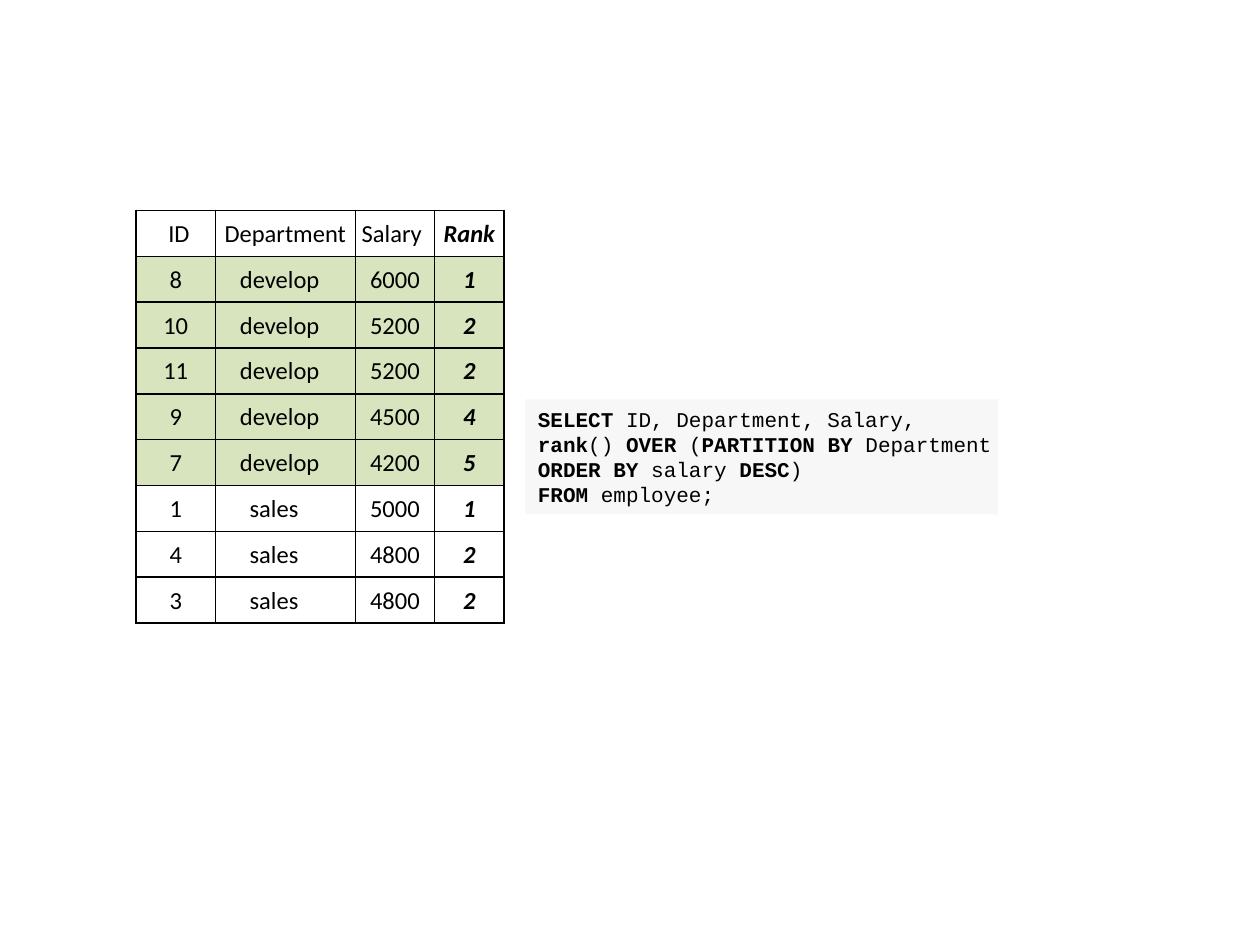
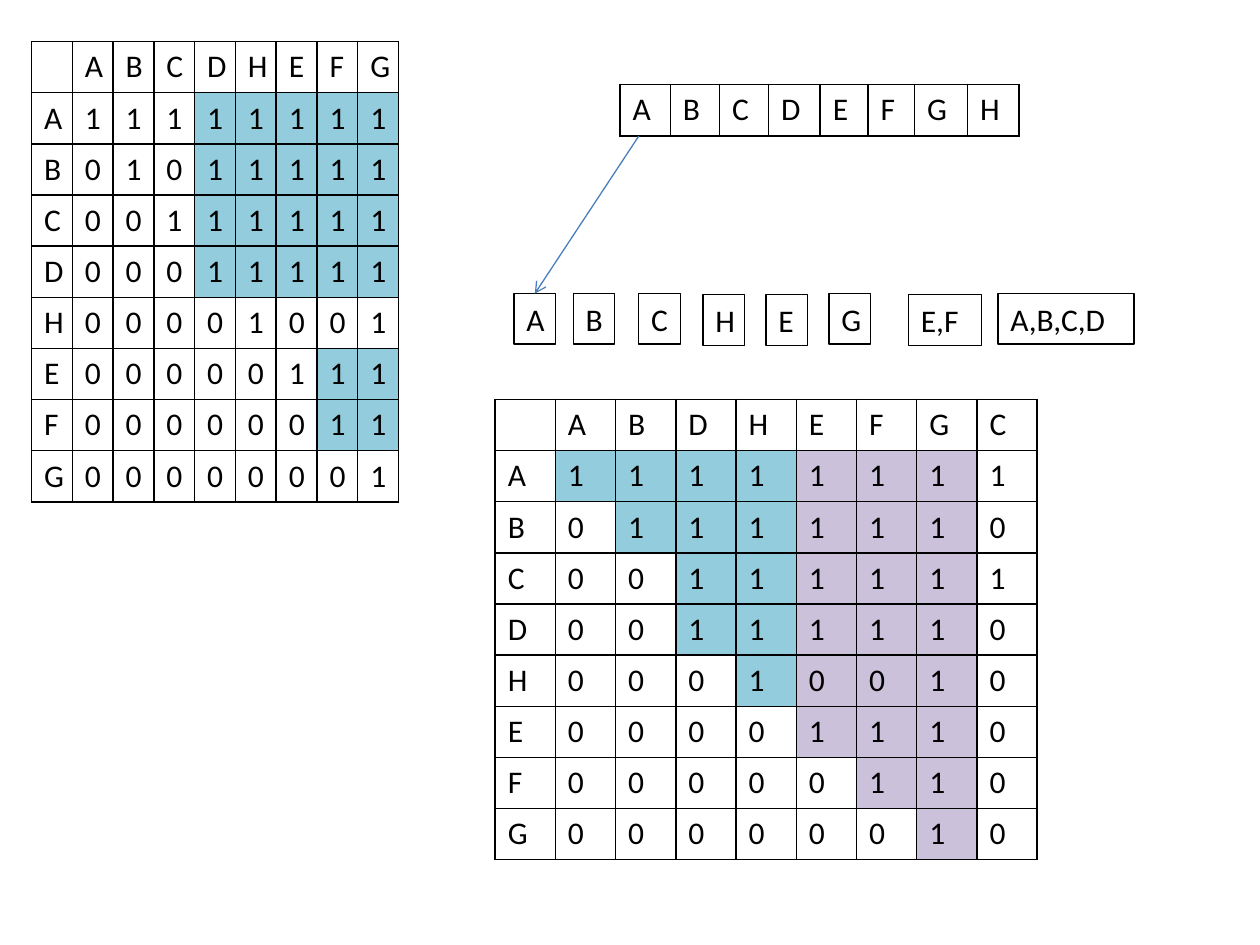
from lxml import etree
from pptx import Presentation
from pptx.dml.color import RGBColor
from pptx.enum.shapes import MSO_CONNECTOR as Link
from pptx.enum.text import MSO_ANCHOR as Anchor, PP_ALIGN as Align
from pptx.oxml.ns import qn
from pptx.util import Inches, Pt

INK = {"text": "000000", "code": "F7F7F7", "arrow": "4B7EBC",
       "g": "D7E4BD", "b": "93CDDD", "p": "CCC1DA"}
SANS, MONO = "Calibri", "Courier New"

# Slide 1: ranked salaries and the query behind them
HEAD = ["ID", "Department", "Salary", "Rank"]
STAFF = [
    ("8", "develop", "6000", "1"),
    ("10", "develop", "5200", "2"),
    ("11", "develop", "5200", "2"),
    ("9", "develop", "4500", "4"),
    ("7", "develop", "4200", "5"),
    ("1", "sales", "5000", "1"),
    ("4", "sales", "4800", "2"),
    ("3", "sales", "4800", "2"),
]
# Extra left and right margin that nudges centred words
NUDGE = {"ID": (0.05, 0), "Salary": (0, 0.05),
         "develop": (0, 0.09), "sales": (0, 0.18)}
QUERY = [  # ** switches bold on and off
    "**SELECT** ID, Department, Salary,",
    "**rank**() **OVER** (**PARTITION BY** Department",
    "**ORDER BY** salary **DESC**)",
    "**FROM** employee;",
]

# Slide 2: matrices as (row label, values, fill keys)
MERGED = ("ABDHEFGC", [
    ("A", "11111111", "bbbbppp."),
    ("B", "01111110", ".bbbppp."),
    ("C", "00111111", "..bbppp."),
    ("D", "00111110", "..bbppp."),
    ("H", "00010010", "...bppp."),
    ("E", "00001110", "....ppp."),
    ("F", "00000110", ".....pp."),
    ("G", "00000010", "......p."),
])
REACH = ("ABCDHEFG", [
    ("A", "11111111", "...bbbbb"),
    ("B", "01011111", "...bbbbb"),
    ("C", "00111111", "...bbbbb"),
    ("D", "00011111", "...bbbbb"),
    ("H", "00001001", "........"),
    ("E", "00000111", "......bb"),
    ("F", "00000011", "......bb"),
    ("G", "00000001", "........"),
])
ITEMS = "ABCDEFGH"
WIDTHS = [0.4, 0.39, 0.39, 0.41, 0.38, 0.37, 0.42, 0.41]
BOXES = [  # text, left, top, width
    ("A", 4.08, 2.33, 0.33), ("B", 4.55, 2.33, 0.33),
    ("C", 5.07, 2.33, 0.33), ("H", 5.58, 2.34, 0.33),
    ("E", 6.08, 2.34, 0.33), ("G", 6.58, 2.33, 0.33),
    ("E,F", 7.21, 2.34, 0.58), ("A,B,C,D", 7.92, 2.33, 1.08),
]


def color(key):
    return RGBColor.from_string(INK[key])


def style(font, size, name=SANS, bold=False, italic=False):
    font.size, font.name = Pt(size), name
    font.bold, font.italic = bold, italic
    font.color.rgb = color("text")


def frame(cell):
    """Draw a thin dark border on all four sides of a cell."""
    props = cell._tc.get_or_add_tcPr()
    for spot, side in enumerate(("lnL", "lnR", "lnT", "lnB")):
        line = etree.Element(qn("a:" + side), w=str(Pt(1)))
        fill = etree.SubElement(line, qn("a:solidFill"))
        etree.SubElement(fill, qn("a:srgbClr"), val=INK["text"])
        props.insert(spot, line)


def grid(slide, left, top, widths, high, rows, fills, size=18):
    """Add a bordered table; fills holds one colour key per cell."""
    table = slide.shapes.add_table(
        len(rows), len(widths), Inches(left), Inches(top),
        Inches(sum(widths)), Inches(high * len(rows))).table
    table.first_row = table.horz_banding = False
    for col, wide in zip(table.columns, widths):
        col.width = Inches(wide)
    for r, (row, keys) in enumerate(zip(rows, fills)):
        table.rows[r].height = Inches(high)
        for c, (text, key) in enumerate(zip(row, keys)):
            cell = table.cell(r, c)
            para = cell.text_frame.paragraphs[0]
            para.text = text
            style(para.font, size)
            for run in para.runs:
                style(run.font, size)
            if key in INK:
                cell.fill.solid()
                cell.fill.fore_color.rgb = color(key)
            else:
                cell.fill.background()
            frame(cell)
    return table


def matrix(slide, left, top, wide, data):
    heads, body = data
    rows = [["", *heads]] + [[name, *vals] for name, vals, _ in body]
    fills = ["." * 9] + ["." + keys for _, _, keys in body]
    grid(slide, left, top, [wide] * 9, 0.406, rows, fills)


def rank_slide(slide):
    rows = [HEAD, *STAFF]
    fills = [("g" if row[1] == "develop" else ".") * 4 for row in rows]
    table = grid(slide, 1.08, 1.67, [0.63, 1.11, 0.63, 0.55], 0.364,
                 rows, fills, 14)
    for r, row in enumerate(rows):
        for c, text in enumerate(row):
            cell = table.cell(r, c)
            left, right = NUDGE.get(text, (0, 0))
            cell.margin_left = Inches(0.01 + left)
            cell.margin_right = Inches(0.01 + right)
            cell.margin_top, cell.margin_bottom = Inches(0.01), 0
            cell.vertical_anchor = Anchor.MIDDLE
            para = cell.text_frame.paragraphs[0]
            para.alignment = Align.CENTER
            last = c == len(row) - 1
            style(para.runs[0].font, 14, bold=last, italic=last)

    # Query panel
    box = slide.shapes.add_textbox(
        Inches(4.17), Inches(3.17), Inches(3.75), Inches(0.91))
    box.fill.solid()
    box.fill.fore_color.rgb = color("code")
    text = box.text_frame
    text.word_wrap, text.margin_right = True, 0
    text.vertical_anchor = Anchor.MIDDLE
    for n, line in enumerate(QUERY):
        para = text.add_paragraph() if n else text.paragraphs[0]
        for k, part in enumerate(line.split("**")):
            if part:
                run = para.add_run()
                run.text = part
                style(run.font, 12, MONO, bold=k % 2 == 1)


def matrix_slide(slide):
    matrix(slide, 3.93, 3.17, 0.478, MERGED)
    matrix(slide, 0.25, 0.33, 0.324, REACH)
    grid(slide, 4.92, 0.67, WIDTHS, 0.41, [ITEMS], ["." * 8])

    # Framed sets below the item row
    boxes = {}
    for text, left, top, wide in BOXES:
        box = slide.shapes.add_textbox(
            Inches(left), Inches(top), Inches(wide), Inches(0.4))
        box.line.color.rgb, box.line.width = color("text"), Pt(0.75)
        box.text_frame.word_wrap = True
        box.text_frame.text = text
        style(box.text_frame.paragraphs[0].runs[0].font, 18)
        boxes[text] = box

    # Arrow from the item row to its first set
    arrow = slide.shapes.add_connector(
        Link.STRAIGHT, Inches(5.07), Inches(1.08), Inches(4.25), Inches(2.33))
    arrow.end_connect(boxes["A"], 0)
    arrow.line.color.rgb, arrow.line.width = color("arrow"), Pt(0.75)
    etree.SubElement(arrow.line._get_or_add_ln(), qn("a:tailEnd"), type="arrow")
    etree.SubElement(arrow._element.spPr, qn("a:effectLst"))


def main():
    deck = Presentation()
    deck.slide_width, deck.slide_height = Inches(10), Inches(7.5)
    for build in (rank_slide, matrix_slide):
        build(deck.slides.add_slide(deck.slide_layouts[6]))
    deck.save("out.pptx")


if __name__ == "__main__":
    main()
